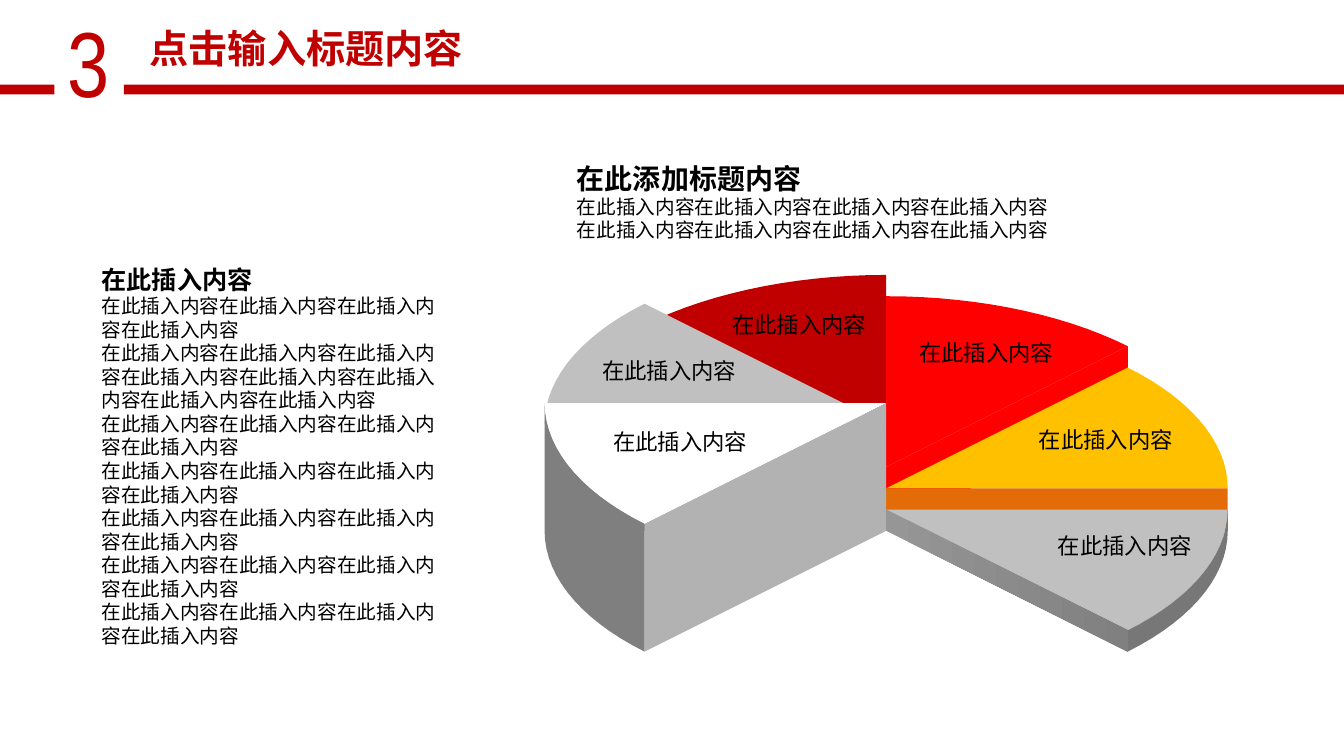
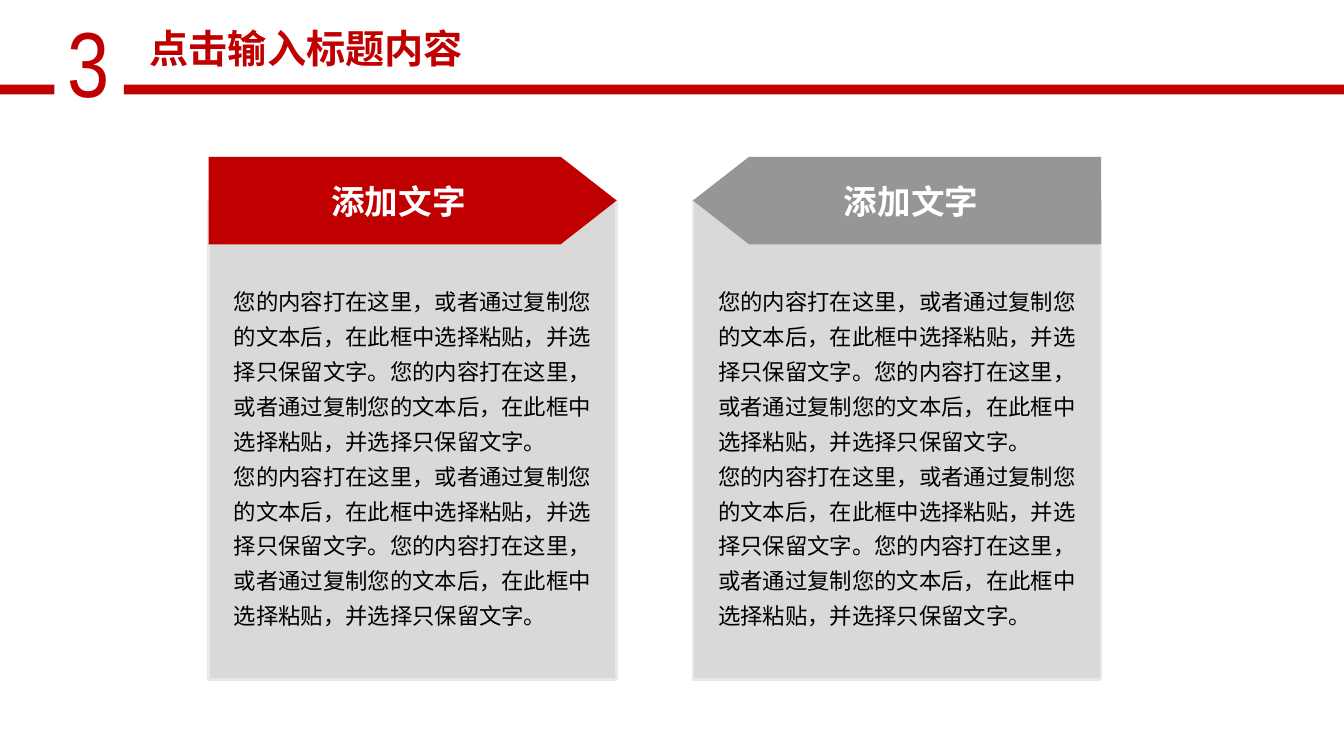
from math import cos, sin, radians
from lxml.etree import SubElement
from pptx import Presentation
from pptx.dml.color import RGBColor
from pptx.enum.shapes import MSO_SHAPE
from pptx.enum.text import MSO_ANCHOR, PP_ALIGN
from pptx.oxml.ns import qn
from pptx.util import Pt

HUES = {
    "red": "C00000", "bright": "FF0000", "gold": "FFC000", "orange": "E36C09",
    "white": "FFFFFF", "black": "000000", "pale": "DDDDDD", "silver": "C0C0C0",
    "ash": "B2B2B2", "gray": "969696", "steel": "808080", "slate": "7F7F7F",
    "dusk": "777777", "panel": "D9D9D9", "edge": "E8E8E6",
}
RGB = {name: RGBColor.from_string(code) for name, code in HUES.items()}
SANS = "Noto Sans CJK SC"
LEFT, MID = PP_ALIGN.LEFT, PP_ALIGN.CENTER


def paint(shape, *hues):
    """Fill with one colour, or with a left-to-right gradient of two."""
    shape.shadow.inherit = False
    shape.line.fill.background()
    if len(hues) == 1:
        shape.fill.solid()
        shape.fill.fore_color.rgb = RGB[hues[0]]
    else:
        shape.fill.gradient()
        shape.fill.gradient_angle = 0
        for stop, hue in zip(shape.fill.gradient_stops, hues):
            stop.color.rgb = RGB[hue]


def write(frame, rows, hue="black", align=LEFT, face=SANS, lead=None, wrap=True):
    """Write rows of (text, size, bold), one paragraph each."""
    frame.word_wrap = wrap
    for i, (text, size, bold) in enumerate(rows):
        para = frame.add_paragraph() if i else frame.paragraphs[0]
        para.text = text
        para.alignment = align
        if lead:
            para.line_spacing = lead
        font = para.font
        font.name, font.size, font.bold = face, Pt(size), bold
        font.color.rgb = RGB[hue]
        props = para._p.pPr.find(qn("a:defRPr"))
        SubElement(props, qn("a:ea")).set("typeface", face)


deck = Presentation()
deck.slide_width, deck.slide_height = Pt(960), Pt(540)

# Shared header: two bands, section number, title
for _ in range(2):
    slide = deck.slides.add_slide(deck.slide_layouts[6])
    for x, wide in ((88.5, 872), (-2, 41)):
        band = slide.shapes.add_shape(
            MSO_SHAPE.RECTANGLE, Pt(x), Pt(60.5), Pt(wide), Pt(7))
        paint(band, "red")
    mark = slide.shapes.add_textbox(Pt(41), Pt(0), Pt(24.5), Pt(87))
    write(mark.text_frame, [("3", 66, False)], "red", face="Arial Narrow")
    head = slide.shapes.add_textbox(Pt(89.5), Pt(13.5), Pt(258.5), Pt(41))
    write(head.text_frame, [("点击输入标题内容", 28, True)], "red", MID)
pie, cards = deck.slides

# Slide 1: stepped pie, each slice 45 degrees wide and one step lower
HUB, RX, RY = 633, 244, 122
TOP, STEP = 288, 15.2
BASE = TOP + 6 * STEP
SLICES = (  # level, start angle, wall angle, top, wall, rim
    (2, 90, 135, "red", ["pale"], None),
    (3, 45, 45, "bright", ["bright"], None),
    (1, 135, 180, "silver", ["gray", "steel"], None),
    (4, 0, 0, "gold", ["orange"], None),
    (0, 180, 225, "white", ["ash"], "slate"),
    (5, 315, 315, "silver", ["gray", "steel"], "dusk"),
)
for level, start, turn, top, wall, rim in SLICES:
    y = TOP + level * STEP
    drop = BASE - y
    group = pie.shapes.add_group_shape().shapes
    arc = [(HUB + RX * cos(radians(a)), y - RY * sin(radians(a)))
           for a in range(start, start + 46, 3)]
    faces = [([(HUB, y)] + arc, [top])]
    if rim:
        low = [(px, py + drop) for px, py in reversed(arc)]
        faces.append((arc + low, [rim]))
    ex, ey = arc[0] if turn == start else arc[-1]
    if turn % 180:
        side = [(HUB, y), (ex, ey), (ex, ey + drop), (HUB, BASE)]
        faces.append((side, wall))
    for points, hues in faces:
        spots = [(Pt(px), Pt(py)) for px, py in points]
        pen = group.build_freeform(*spots[0], scale=1.0)
        pen.add_line_segments(spots[1:], close=True)
        paint(pen.convert_to_shape(), *hues)
    if turn % 180 == 0:
        block = group.add_shape(
            MSO_SHAPE.RECTANGLE, Pt(min(HUB, ex)), Pt(y), Pt(RX), Pt(drop))
        paint(block, *wall)

# Slide 1: slice labels and text blocks
WORD = "在此插入内容"
LABEL = [(WORD, 16, False)]
LINE = (WORD * 4, 14, False)
INTRO = [("在此添加标题内容", 20, True), LINE, LINE]
NOTES = [(WORD, 18, True), LINE, (WORD * 8, 14, False)] + [LINE] * 5
for x, y, wide, high, rows, align in (
    (743, 376.5, 121, 26.5, LABEL, MID),
    (735, 301, 113, 26.5, LABEL, LEFT),
    (431, 302.5, 123, 26.5, LABEL, LEFT),
    (516, 219, 114, 26.5, LABEL, LEFT),
    (414, 251.5, 128, 26.5, LABEL, MID),
    (646.5, 238.5, 116, 26.5, LABEL, MID),
    (405, 111.5, 353, 65.5, INTRO, LEFT),
    (65.5, 185, 266, 300, NOTES, LEFT),
):
    box = pie.shapes.add_textbox(Pt(x), Pt(y), Pt(wide), Pt(high))
    write(box.text_frame, rows, align=align)

# Slide 2: two cards with arrow heads that face each other
HALF = "您的内容打在这里，或者通过复制您的文本后，在此框中选择粘贴，并选择只保留文字。"
for x, hue, flip in ((149, "red", False), (495, "gray", True)):
    card = cards.shapes.add_shape(
        MSO_SHAPE.RECTANGLE, Pt(x), Pt(143.5), Pt(291.5), Pt(342))
    paint(card, "panel")
    card.line.color.rgb = RGB["edge"]
    card.line.width = Pt(2)
    flag = cards.shapes.add_shape(
        MSO_SHAPE.PENTAGON, Pt(x), Pt(112), Pt(291.5), Pt(62.5))
    flag.adjustments[0] = 0.64
    paint(flag, hue)
    if flip:
        flag._element.spPr.xfrm.set("flipH", "1")
    flag.text_frame.vertical_anchor = MSO_ANCHOR.MIDDLE
    write(flag.text_frame, [("添加文字", 24, True)], "white", MID, wrap=False)
    body = cards.shapes.add_textbox(Pt(x + 11), Pt(196.5), Pt(280), Pt(259))
    write(body.text_frame, [(HALF * 2, 16, False)] * 2, lead=1.3)

deck.save("out.pptx")
